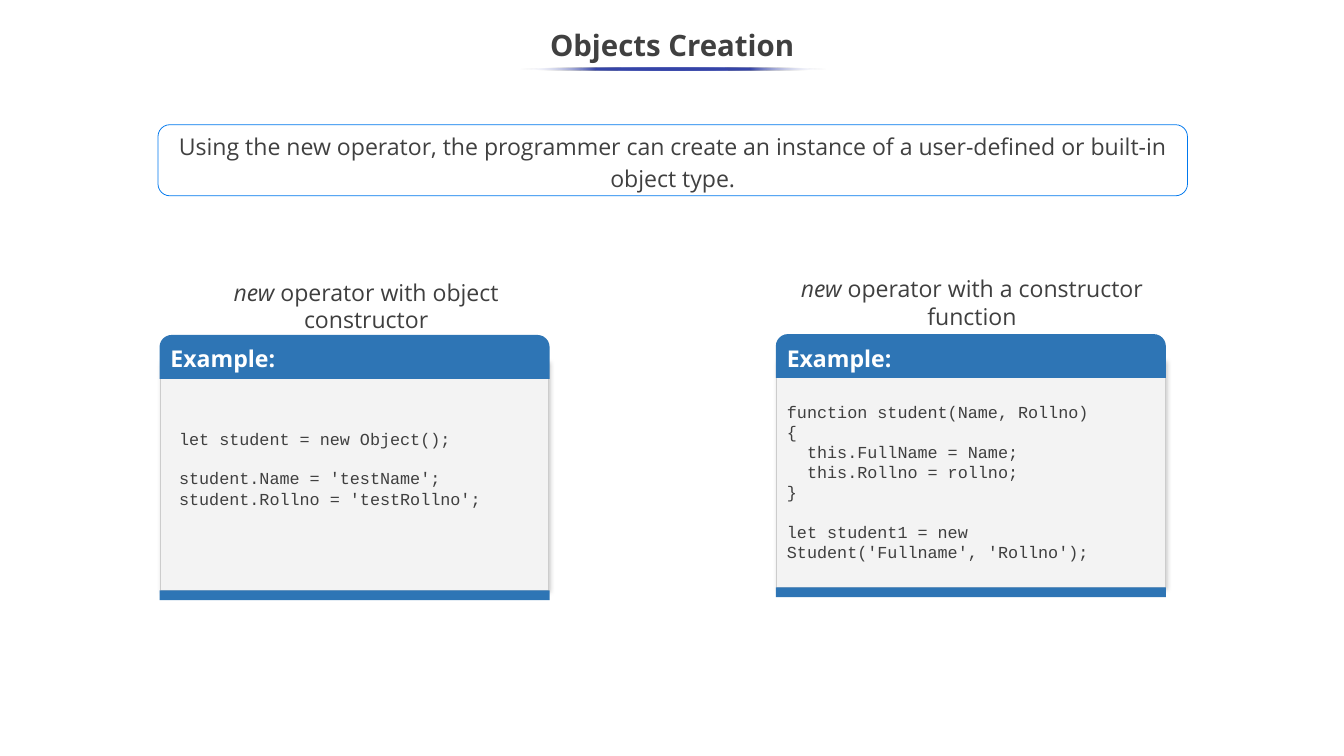
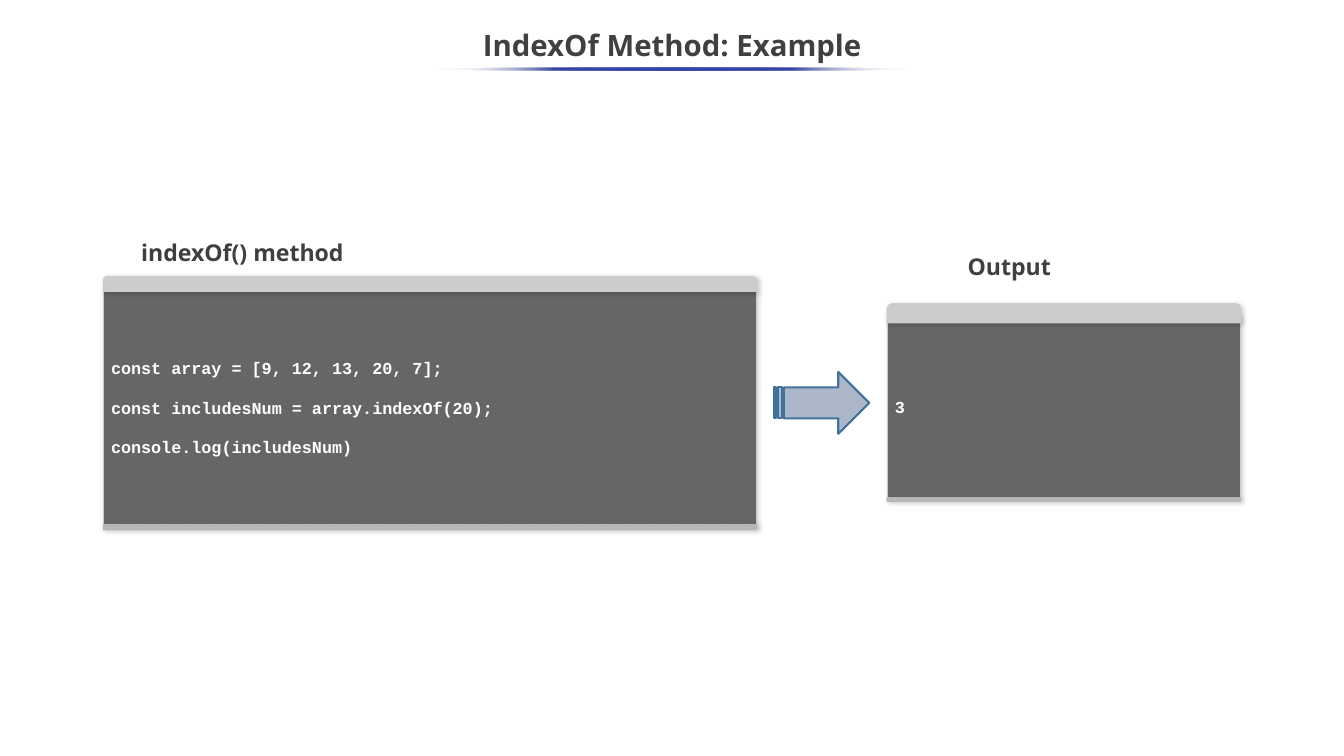
from dataclasses import dataclass

from pptx import Presentation
from pptx.dml.color import RGBColor
from pptx.enum import shapes, text
from pptx.oxml import parse_xml
from pptx.util import Pt

NAMESPACE = 'xmlns:a="http://schemas.openxmlformats.org/drawingml/2006/main"'
CENTER = text.PP_ALIGN.CENTER
LEFT = text.PP_ALIGN.LEFT
TOP = text.MSO_ANCHOR.TOP
MIDDLE = text.MSO_ANCHOR.MIDDLE
PRESET = shapes.MSO_SHAPE


@dataclass(frozen=True)
class Theme:
    width: float = 1280.16
    height: float = 720
    sans: str = "Open Sans"
    mono: str = "Courier New"
    title_size: float = 28
    body_size: float = 22
    code_size: float = 16
    code_gap: float = 18.5
    title: str = "404040"
    ink: str = "3F3F3F"
    white: str = "FFFFFF"
    accent: str = "3645A9"
    outline: str = "0078EE"
    card_band: str = "2E75B5"
    card_body: str = "F3F3F3"
    border: str = "CCCCCC"
    console_body: str = "666666"
    console_foot: str = "B7B7B7"
    arrow: str = "ACB8CA"
    arrow_line: str = "42719B"


THEME = Theme()


@dataclass(frozen=True)
class PanelStyle:
    band: str
    body: str
    foot: str
    band_shadow: bool


CARD = PanelStyle(THEME.card_band, THEME.card_body, THEME.card_band, False)
CONSOLE = PanelStyle(THEME.border, THEME.console_body, THEME.console_foot, True)


def write_text(shape, paragraphs, *, size=THEME.body_size, font=THEME.sans,
               color=THEME.ink, bold=False, align=LEFT, anchor=TOP, spacing=None,
               after=None, inset=(7.2, 3.6)):
    """Each paragraph is (runs, space before); each run is (words, italic)."""
    frame = shape.text_frame
    frame.word_wrap = True
    frame.vertical_anchor = anchor
    frame.margin_left = frame.margin_right = Pt(inset[0])
    frame.margin_top = frame.margin_bottom = Pt(inset[1])
    for index, (runs, before) in enumerate(paragraphs):
        paragraph = frame.add_paragraph() if index else frame.paragraphs[0]
        paragraph.alignment = align
        if spacing:
            paragraph.line_spacing = spacing
        if before:
            paragraph.space_before = Pt(before)
        if after:
            paragraph.space_after = Pt(after)
        for words, italic in runs:
            run = paragraph.add_run()
            run.text = words
            run.font.name = font
            run.font.size = Pt(size)
            run.font.bold = bold
            run.font.italic = italic
            run.font.color.rgb = RGBColor.from_string(color)


def plain(words):
    return [([(words, False)], 0)]


def code_paragraphs(blocks):
    """Blocks of code lines, with one line of space between blocks."""
    return [([(line, False)], THEME.code_gap if block_number and not line_number else 0)
            for block_number, block in enumerate(blocks)
            for line_number, line in enumerate(block)]


def add_text(slide, box, paragraphs, **style):
    shape = slide.shapes.add_textbox(*map(Pt, box))
    write_text(shape, paragraphs, **style)
    return shape


def add_block(slide, preset, box, fill=None, line=None, line_width=0.75, shadow=False):
    shape = slide.shapes.add_shape(preset, *map(Pt, box))
    if fill:
        shape.fill.solid()
        shape.fill.fore_color.rgb = RGBColor.from_string(fill)
    else:
        shape.fill.background()
    if line:
        shape.line.color.rgb = RGBColor.from_string(line)
        shape.line.width = Pt(line_width)
    else:
        shape.line.fill.background()
    shape.shadow.inherit = False
    if shadow:
        effects = shape._element.spPr.find(
            "{http://schemas.openxmlformats.org/drawingml/2006/main}effectLst")
        effects.append(parse_xml(
            f'<a:outerShdw {NAMESPACE} blurRad="{Pt(4.5)}" dist="{Pt(1.5)}" '
            f'dir="{47 * 60000}" algn="tl" rotWithShape="0"><a:srgbClr val="000000">'
            '<a:alpha val="20000"/></a:srgbClr></a:outerShdw>'))
    return shape


def add_heading(slide, words, rule_width):
    # Centred title
    add_text(slide, (0, 18, THEME.width, 54), plain(words), size=THEME.title_size,
             color=THEME.title, bold=True, align=CENTER, anchor=MIDDLE, spacing=0.9)
    # Tapered rule that fades at both ends
    left = (THEME.width - rule_width) / 2 + 1
    rule = add_block(slide, PRESET.OVAL, (left, 64.1, rule_width, 3), THEME.accent)
    stops = "".join(
        f'<a:gs pos="{place * 1000}"><a:srgbClr val="{color}">'
        f'<a:alpha val="{alpha}"/></a:srgbClr></a:gs>'
        for place, color, alpha in [(0, THEME.white, 0), (25, THEME.accent, 100000),
                                    (75, THEME.accent, 100000), (100, THEME.white, 0)])
    gradient = parse_xml(f'<a:gradFill {NAMESPACE} rotWithShape="1"><a:gsLst>{stops}'
                         '</a:gsLst><a:lin ang="10800000" scaled="0"/></a:gradFill>')
    properties = rule._element.spPr
    solid = properties.find("{http://schemas.openxmlformats.org/drawingml/2006/main}solidFill")
    properties.replace(solid, gradient)


def add_panel(slide, box, style, band_height, body_offset, foot_height):
    """Body with a rounded band above and a thin foot; returns body and band."""
    left, top, width, height = box
    foot_top = top + height - foot_height
    body = add_block(slide, PRESET.RECTANGLE,
                     (left + 0.75, top + body_offset, width - 1.5,
                      foot_top - top - body_offset),
                     style.body, THEME.border, shadow=True)
    band = add_block(slide, PRESET.ROUND_2_SAME_RECTANGLE,
                     (left, top, width, band_height), style.band, shadow=style.band_shadow)
    band.adjustments[0] = 0.275
    add_block(slide, PRESET.RECTANGLE, (left, foot_top, width, foot_height),
              style.foot, shadow=style.band_shadow)
    return body, band


def add_example_card(slide, box, caption, caption_offset, code, code_offset):
    left, top, width, _ = box
    _, band = add_panel(slide, box, CARD, 41.8, 25.6, 9.4)
    write_text(band, plain("Example:"), color=THEME.white, bold=True, anchor=MIDDLE)
    # Code listing
    shift, drop = code_offset
    add_text(slide, (left + shift, top + drop, width - 8, 130), code_paragraphs(code),
             size=THEME.code_size, font=THEME.mono)
    # Caption above the card
    shift, rise = caption_offset
    add_text(slide, (left + shift, top - rise, width, 60.5),
             [([("new", True), (caption, False)], 0)], align=CENTER)


def add_console(slide, box, code, band_height, body_offset, foot_height):
    body, _ = add_panel(slide, box, CONSOLE, band_height, body_offset, foot_height)
    write_text(body, code_paragraphs(code), size=THEME.code_size, font=THEME.mono,
               color=THEME.white, bold=True, anchor=MIDDLE, inset=(7.2, 7.2))


def build_creation_slide(slide):
    add_heading(slide, "Objects Creation", 291.6)
    # Statement
    statement = add_block(slide, PRESET.ROUNDED_RECTANGLE, (150.5, 118.8, 980.6, 67.7),
                          line=THEME.outline)
    write_text(statement, plain(
        "Using the new operator, the programmer can create an instance of a "
        "user-defined or built-in object type."),
        color=THEME.title, align=CENTER, anchor=MIDDLE, spacing=1.15, inset=(7.2, 0))
    # Two ways to use the operator
    add_example_card(
        slide, (152, 319, 371.5, 252.7), " operator with object constructor", (11, 57.6),
        [["let student = new Object();"],
         ["student.Name = 'testName';", "student.Rollno = 'testRollno';"]], (11.5, 85.6))
    add_example_card(
        slide, (739, 318.2, 371.5, 250.6), " operator with a constructor function", (1, 60.4),
        [["function student(Name, Rollno)", "{", "  this.FullName = Name;",
          "  this.Rollno = rollno;", "}"],
         ["let student1 = new Student('Fullname', 'Rollno');"]], (3.5, 60.5))


def build_method_slide(slide):
    add_heading(slide, "IndexOf Method: Example", 451.4)
    # Result
    add_console(slide, (844.6, 288.7, 337.7, 189.4), [["3"]], 19.4, 11.5, 4.3)
    add_text(slide, (905.8, 216, 110.9, 77.8), plain("Output"), bold=True,
             align=CENTER, anchor=MIDDLE, spacing=0.9, after=7.7)
    # Code
    add_text(slide, (127.4, 223.9, 1003, 33.8), plain("indexOf() method"), bold=True)
    add_console(slide, (97.9, 262.8, 623.5, 242),
                [["const array = [9, 12, 13, 20, 7];"],
                 ["const includesNum = array.indexOf(20);"],
                 ["console.log(includesNum)"]], 15.1, 14.4, 5.8)
    # Arrow from code to result
    add_block(slide, PRESET.STRIPED_RIGHT_ARROW, (737.3, 354.2, 90.7, 59),
              THEME.arrow, THEME.arrow_line, 2)


def main():
    presentation = Presentation()
    presentation.slide_width = Pt(THEME.width)
    presentation.slide_height = Pt(THEME.height)
    for build in (build_creation_slide, build_method_slide):
        build(presentation.slides.add_slide(presentation.slide_layouts[6]))
    presentation.save("out.pptx")


if __name__ == "__main__":
    main()
